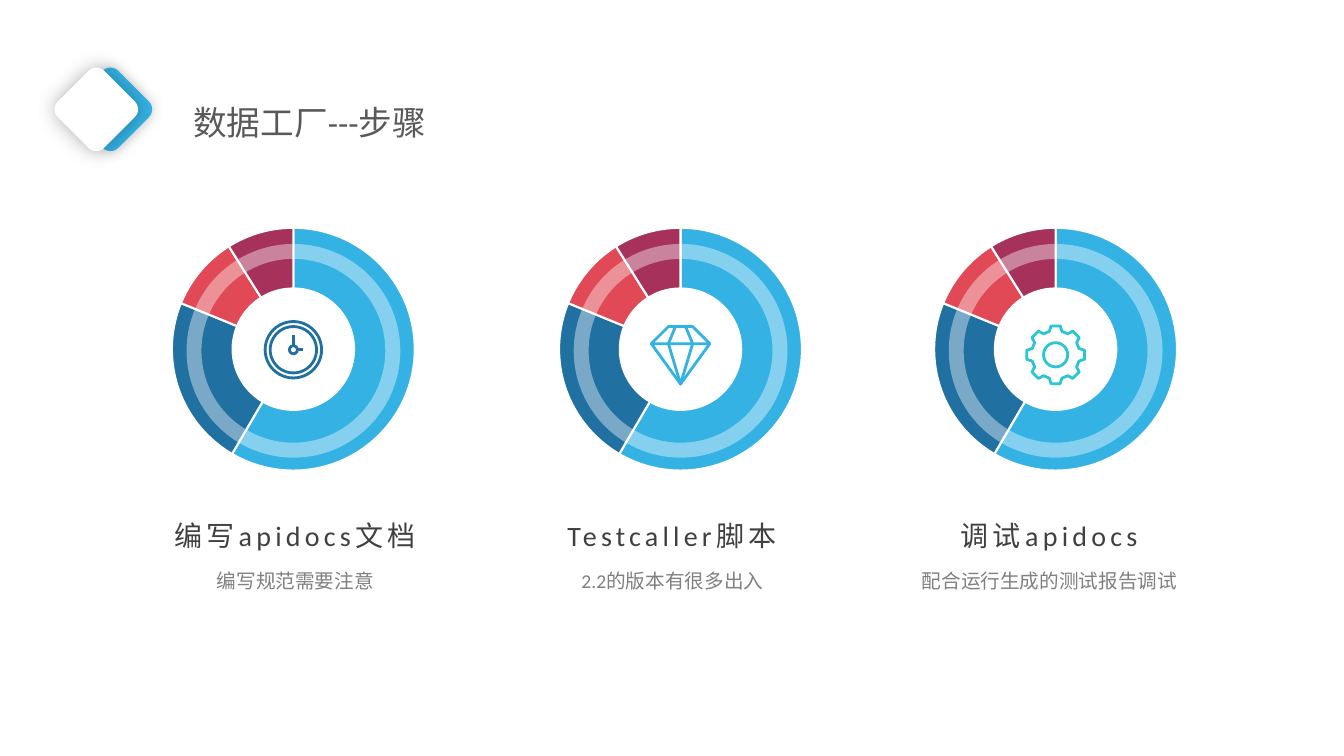
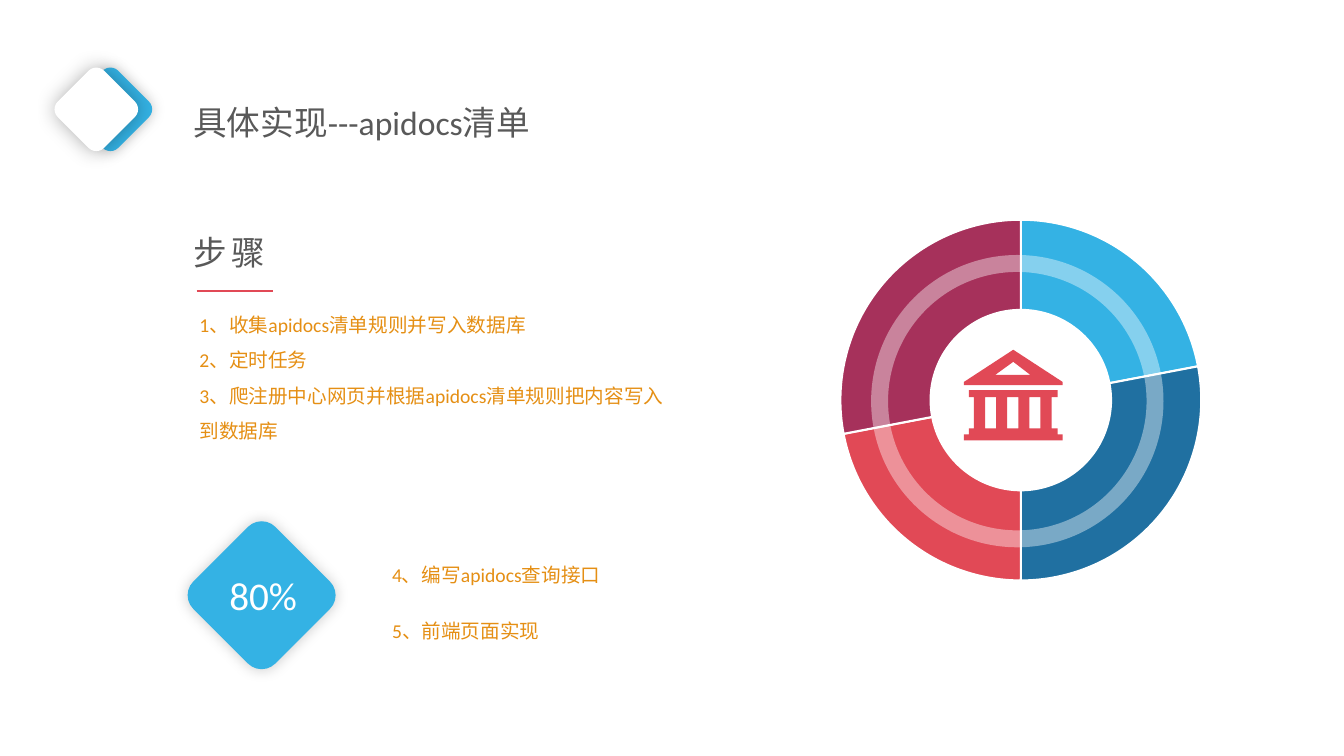
from math import cos, radians, sin

from lxml import etree
from pptx import Presentation
from pptx.chart.data import CategoryChartData
from pptx.dml.color import RGBColor
from pptx.enum.chart import XL_CHART_TYPE
from pptx.enum.shapes import MSO_CONNECTOR, MSO_SHAPE
from pptx.enum.text import MSO_AUTO_SIZE, PP_ALIGN
from pptx.oxml.ns import qn
from pptx.util import Inches, Pt

DOUGHNUT = XL_CHART_TYPE.DOUGHNUT
DONUT, OVAL, ROUNDED = MSO_SHAPE.DONUT, MSO_SHAPE.OVAL, MSO_SHAPE.ROUNDED_RECTANGLE
STRAIGHT = MSO_CONNECTOR.STRAIGHT
GROW = MSO_AUTO_SIZE.SHAPE_TO_FIT_TEXT
LEFT, CENTER = PP_ALIGN.LEFT, PP_ALIGN.CENTER

FONT = "Calibri"
COLORS = {
    "sky": "34B2E4", "navy": "2070A1", "red": "E14956", "plum": "A6315B",
    "teal": "2CC6D2", "orange": "E58F14", "white": "FFFFFF", "black": "000000",
    "title": "595959", "heading": "404040", "caption": "808080",
}
RING_COLORS = ("sky", "navy", "red", "plum")
RING_INSET = 0.15
TITLE_BOX = (1.82, 0.76, 4.2, 0.64)


def paint(shape, fill=None, line=None):
    """Give a shape a flat fill and a 2 pt outline; None means neither."""
    if fill:
        shape.fill.solid()
        shape.fill.fore_color.rgb = RGBColor.from_string(COLORS[fill])
    else:
        shape.fill.background()
    if line:
        shape.line.color.rgb = RGBColor.from_string(COLORS[line])
        shape.line.width = Pt(2)
    else:
        shape.line.fill.background()
    shape.shadow.inherit = False


def add_contours(slide, contours, closed=True):
    """Join lists of (x, y) points in inches into one freeform."""
    builder = None
    for contour in contours:
        points = [(Inches(x), Inches(y)) for x, y in contour]
        if builder is None:
            builder = slide.shapes.build_freeform(*points[0])
        else:
            builder.move_to(*points[0])
        builder.add_line_segments(points[1:], close=closed)
    return builder.convert_to_shape()


presentation = Presentation()
presentation.slide_width = Inches(13.33)
presentation.slide_height = Inches(7.5)
blank = presentation.slide_layouts[6]
steps_slide = presentation.slides.add_slide(blank)
list_slide = presentation.slides.add_slide(blank)

# Doughnut charts: slide, chart box, values, band left, top, size, thickness
step_values = (59, 23, 10, 9)
rings = [
    (steps_slide, (left, 2.11, 2.76, 2.71), step_values, left + 0.32, 2.42, 2.12, 0.07)
    for left in (1.53, 5.37, 9.09)
]
rings.append((list_slide, (7.87, 2.03, 4.51, 3.88), (22, 28, 22, 28), 8.64, 2.53, 2.9, 0.058))

for slide, box, values, band_left, band_top, band_size, thickness in rings:
    chart_data = CategoryChartData()
    chart_data.categories = ("1", "2", "3", "4")
    chart_data.add_series("Series 1", values)
    chart = slide.shapes.add_chart(DOUGHNUT, *map(Inches, box), chart_data).chart
    chart.has_legend = chart.has_title = False
    chart.font.name = FONT
    chart.font.size = Pt(10)
    chart.font.color.rgb = RGBColor.from_string(COLORS["black"])
    plot = chart.plots[0]
    plot.vary_by_categories = True
    for index, color in enumerate(RING_COLORS):
        point_format = plot.series[0].points[index].format
        point_format.fill.solid()
        point_format.fill.fore_color.rgb = RGBColor.from_string(COLORS[color])
        point_format.line.color.rgb = RGBColor.from_string(COLORS["white"])
        point_format.line.width = Pt(1.5)

    plot_area = chart._chartSpace.find(".//" + qn("c:plotArea"))
    plot_area.find(".//" + qn("c:holeSize")).set("val", "75")
    for old_layout in plot_area.findall(qn("c:layout")):
        plot_area.remove(old_layout)
    layout = etree.Element(qn("c:layout"))
    plot_area.insert(0, layout)
    manual = etree.SubElement(layout, qn("c:manualLayout"))
    width, height = box[2:]
    diameter = height - 2 * RING_INSET
    for tag, value in (
        ("layoutTarget", "inner"), ("xMode", "edge"), ("yMode", "edge"),
        ("x", (width - diameter) / 2 / width), ("y", RING_INSET / height),
        ("w", diameter / width), ("h", diameter / height),
    ):
        etree.SubElement(manual, qn("c:" + tag)).set("val", str(value))

    band = slide.shapes.add_shape(
        DONUT, Inches(band_left), Inches(band_top), Inches(band_size), Inches(band_size))
    band.adjustments[0] = thickness
    paint(band, "white")
    band_color = band._element.spPr.find(".//" + qn("a:srgbClr"))
    etree.SubElement(band_color, qn("a:alpha")).set("val", "40000")

# Clock icon
clock_x, clock_y = 2.91, 3.47
for radius in (0.28, 0.23, 0.04):
    circle = steps_slide.shapes.add_shape(
        OVAL, Inches(clock_x - radius), Inches(clock_y - radius),
        Inches(2 * radius), Inches(2 * radius))
    paint(circle, line="navy")
hands = add_contours(steps_slide, [
    [(clock_x, clock_y - 0.04), (clock_x, clock_y - 0.15)],
    [(clock_x + 0.04, clock_y), (clock_x + 0.1, clock_y)],
], closed=False)
paint(hands, line="navy")

# Gem icon
gem = add_contours(steps_slide, [
    [(6.46, 3.41), (6.63, 3.24), (6.87, 3.24), (7.04, 3.41), (6.75, 3.81), (6.46, 3.41), (7.04, 3.41)],
    [(6.7, 3.24), (6.63, 3.41), (6.75, 3.81), (6.87, 3.41), (6.8, 3.24)],
], closed=False)
paint(gem, line="sky")

# Gear icon
gear_x, gear_y = 10.47, 3.52
gear_rim = []
for tooth in range(8):
    for offset, radius in ((-15, 0.24), (-9, 0.29), (9, 0.29), (15, 0.24)):
        angle = radians(45 * tooth + offset)
        gear_rim.append((gear_x + radius * cos(angle), gear_y + radius * sin(angle)))
paint(add_contours(steps_slide, [gear_rim]), line="teal")
gear_hub = steps_slide.shapes.add_shape(
    OVAL, Inches(gear_x - 0.12), Inches(gear_y - 0.12), Inches(0.24), Inches(0.24))
paint(gear_hub, line="teal")

# Bank icon
bank_bars = [(9.61, 3.87, 10.49, 3.94), (9.61, 4.25, 10.49, 4.31), (9.56, 4.31, 10.54, 4.37)]
bank_bars += [(9.66 + 0.22 * i, 3.94, 9.77 + 0.22 * i, 4.25) for i in range(4)]
bank = add_contours(list_slide, [
    [(9.56, 3.79), (10.05, 3.47), (10.54, 3.79), (10.54, 3.82), (9.56, 3.82)],
    [(9.87, 3.72), (10.22, 3.72), (10.05, 3.59)],
] + [
    [(left, top), (right, top), (right, bottom), (left, bottom)]
    for left, top, right, bottom in bank_bars
])
paint(bank, "red")

# Diamonds: slide, left, top, size, fill, shadow opacity %, shadow blur
diamonds = [(list_slide, 2.02, 5.33, 1.15, "sky", 20, 10)]
for slide in (steps_slide, list_slide):
    diamonds += [(slide, 0.77, 0.76, 0.65, "sky", 20, 10),
                 (slide, 0.63, 0.76, 0.65, "white", 30, 15)]
for slide, left, top, size, fill, opacity, blur in diamonds:
    diamond = slide.shapes.add_shape(
        ROUNDED, Inches(left), Inches(top), Inches(size), Inches(size))
    diamond.rotation = 45
    paint(diamond, fill)
    effects = diamond._element.spPr.find(qn("a:effectLst"))
    shadow = etree.SubElement(
        effects, qn("a:outerShdw"), blurRad=str(Pt(blur)), dist="0", rotWithShape="0")
    shadow_color = etree.SubElement(shadow, qn("a:srgbClr"), val=COLORS["black"])
    etree.SubElement(shadow_color, qn("a:alpha"), val=str(opacity * 1000))

# Rule under the list heading
rule = list_slide.shapes.add_connector(
    STRAIGHT, Inches(1.95), Inches(2.89), Inches(2.71), Inches(2.89))
rule.line.color.rgb = RGBColor.from_string(COLORS["red"])
rule.line.width = Pt(1.5)
etree.SubElement(rule._element.spPr, qn("a:effectLst"))

# Text styles: size, colour, alignment, line spacing, letter spacing
STYLES = {
    "title": (24, "title", LEFT, 1.5, 0),
    "subtitle": (24, "title", LEFT, 1.5, 3),
    "heading": (20, "heading", CENTER, 1.5, 3),
    "caption": (14, "caption", CENTER, 1.5, 0),
    "item": (14, "orange", LEFT, 1.5, 0),
    "last item": (14, "orange", LEFT, 1, 0),
    "percent": (28, "white", CENTER, 1, 0),
}
texts = [
    (steps_slide, "title", TITLE_BOX, ["数据工厂---步骤"]),
    (list_slide, "title", TITLE_BOX, ["具体实现---apidocs清单"]),
    (list_slide, "subtitle", (1.82, 2.05, 3.64, 0.64), ["步骤"]),
    (list_slide, "item", (1.88, 2.94, 4.96, 1.48), [
        "1、收集apidocs清单规则并写入数据库",
        "2、定时任务",
        "3、爬注册中心网页并根据apidocs清单规则把内容写入到数据库",
    ]),
    (list_slide, "percent", (2.17, 5.62, 0.88, 0.57), ["80%"]),
    (list_slide, "item", (3.79, 5.42, 3.64, 0.42), ["4、编写apidocs查询接口"]),
    (list_slide, "last item", (3.79, 6.09, 2.32, 0.34), ["5、前端页面实现"]),
]
for column, (heading, caption) in enumerate((
    ("编写apidocs文档", "编写规范需要注意"),
    ("Testcaller脚本", "2.2的版本有很多出入"),
    ("调试apidocs", "配合运行生成的测试报告调试"),
)):
    left = 1.41 + 3.74 * column
    texts.append((steps_slide, "heading", (left, 4.93, 3.03, 0.55), [heading]))
    texts.append((steps_slide, "caption", (left + 0.06, 5.48, 2.92, 0.42), [caption]))

for slide, style, box, lines in texts:
    size, color, alignment, line_spacing, letter_spacing = STYLES[style]
    frame = slide.shapes.add_textbox(*map(Inches, box)).text_frame
    frame.word_wrap = style != "percent"
    frame.auto_size = GROW
    frame.text = "\n".join(lines)
    for paragraph in frame.paragraphs:
        paragraph.alignment = alignment
        paragraph.line_spacing = line_spacing
        paragraph.font.name = FONT
        paragraph.font.size = Pt(size)
        paragraph.font.color.rgb = RGBColor.from_string(COLORS[color])
        if letter_spacing:
            for run in paragraph.runs:
                run.font._element.set("spc", str(letter_spacing * 100))

presentation.save("out.pptx")
